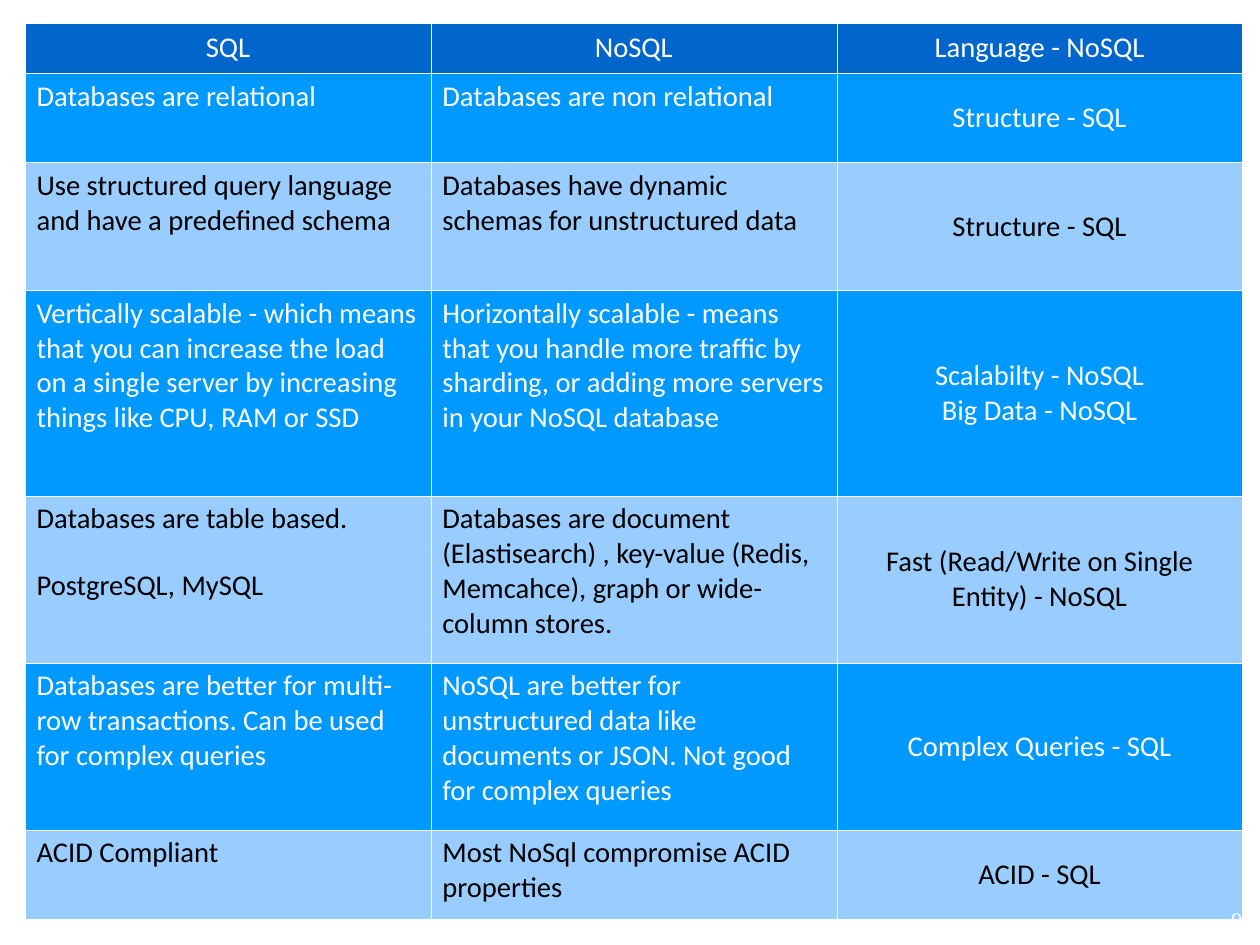
from dataclasses import dataclass

from lxml.etree import SubElement
from pptx import Presentation
from pptx.dml.color import RGBColor as RGB
from pptx.enum.text import MSO_ANCHOR as Anchor, PP_ALIGN as Align
from pptx.oxml.ns import qn
from pptx.util import Inches, Pt


@dataclass(frozen=True)
class Theme:
    header: str = "0066CC"
    bands: tuple = (("0099FF", "FFFFFF"), ("99CCFF", "000000"))
    white: str = "FFFFFF"
    table_font: str = "Calibri"
    number_font: str = "Times New Roman"
    table_size: int = 18
    number_size: int = 14
    paragraph_gap: int = 20
    border_width: float = 0.06


THEME = Theme()
CM_PER_INCH = 2.54
SLIDE_WIDTH = Inches(28 / CM_PER_INCH)
SLIDE_HEIGHT = Inches(21 / CM_PER_INCH)
COLUMN_WIDTH = 3.55
TABLE_HEIGHT = 7.4
ROW_HEIGHTS = [0.44, 0.78, 1.12, 1.8, 1.46, 1.46, 0.78]
HEADINGS = ["SQL", "NoSQL", "Language - NoSQL"]
COMPARISON = [
    ["Databases are relational", "Databases are non relational", "Structure - SQL"],
    ["Use structured query language and have a predefined schema",
     "Databases have dynamic schemas for unstructured data",
     "Structure - SQL"],
    ["Vertically scalable - which means that you can increase the load on a single "
     "server by increasing things like CPU, RAM or SSD",
     "Horizontally scalable - means that you handle more traffic by sharding, or "
     "adding more servers in your NoSQL database",
     "Scalabilty - NoSQL\nBig Data - NoSQL"],
    ["Databases are table based.\nPostgreSQL, MySQL",
     "Databases are document (Elastisearch) , key-value (Redis, Memcahce), graph or "
     "wide-column stores.",
     "Fast (Read/Write on Single Entity) - NoSQL"],
    ["Databases are better for multi-row transactions. Can be used for complex queries",
     "NoSQL are better for unstructured data like documents or JSON. Not good for "
     "complex queries",
     "Complex Queries - SQL"],
    ["ACID Compliant", "Most NoSql compromise ACID properties", "ACID - SQL"],
]


def set_attributes(target, values):
    for name, value in values.items():
        setattr(target, name, value)


def write_text(text_frame, text, font_name, size, color, alignment, gap=0):
    text_frame.text = text
    for index, paragraph in enumerate(text_frame.paragraphs):
        paragraph.alignment = alignment
        if index and gap:
            paragraph.space_before = Pt(gap)
        for run in paragraph.runs:
            set_attributes(run.font, {"name": font_name, "size": Pt(size)})
            run.font.color.rgb = RGB.from_string(color)


def add_borders(cell):
    properties = cell._tc.get_or_add_tcPr()
    for position, side in enumerate(("a:lnL", "a:lnR", "a:lnT", "a:lnB")):
        line = SubElement(properties, qn(side), w=str(Pt(THEME.border_width)))
        fill = SubElement(line, qn("a:solidFill"))
        SubElement(fill, qn("a:srgbClr"), val=THEME.white)
        properties.insert(position, line)


def format_cell(cell, text, fill, color, centered):
    alignment = Align.CENTER if centered else Align.LEFT
    gap = 0 if centered else THEME.paragraph_gap
    write_text(cell.text_frame, text, THEME.table_font, THEME.table_size,
               color, alignment, gap)
    cell.vertical_anchor = Anchor.MIDDLE if centered else Anchor.TOP
    cell.fill.solid()
    cell.fill.fore_color.rgb = RGB.from_string(fill)
    add_borders(cell)


def add_comparison_table(slide):
    rows = [HEADINGS] + COMPARISON
    frame = slide.shapes.add_table(
        len(rows), len(HEADINGS), Inches(0.22), Inches(0.2),
        Inches(COLUMN_WIDTH * len(HEADINGS)), Inches(TABLE_HEIGHT))
    table = frame.table
    set_attributes(table, {"first_row": False, "horz_banding": False})
    for column in table.columns:
        column.width = Inches(COLUMN_WIDTH)
    for row_index, texts in enumerate(rows):
        table.rows[row_index].height = Inches(ROW_HEIGHTS[row_index])
        is_header = row_index == 0
        fill, color = ((THEME.header, THEME.white) if is_header
                       else THEME.bands[(row_index - 1) % 2])
        for column_index, text in enumerate(texts):
            is_verdict = column_index == len(HEADINGS) - 1
            format_cell(table.cell(row_index, column_index), text, fill, color,
                        is_header or is_verdict)
    frame.height = Inches(TABLE_HEIGHT)


def add_slide_number(slide, number):
    box = slide.shapes.add_textbox(Inches(8.3), Inches(7.93), Inches(2.57), Inches(0.57))
    margins = ("margin_left", "margin_top", "margin_right", "margin_bottom")
    set_attributes(box.text_frame, {"word_wrap": True, **dict.fromkeys(margins, 0)})
    write_text(box.text_frame, number, THEME.number_font, THEME.number_size,
               THEME.white, Align.RIGHT)


def main():
    presentation = Presentation()
    presentation.slide_width = SLIDE_WIDTH
    presentation.slide_height = SLIDE_HEIGHT
    slide = presentation.slides.add_slide(presentation.slide_layouts[6])
    add_comparison_table(slide)
    add_slide_number(slide, "9")
    presentation.save("out.pptx")


if __name__ == "__main__":
    main()
